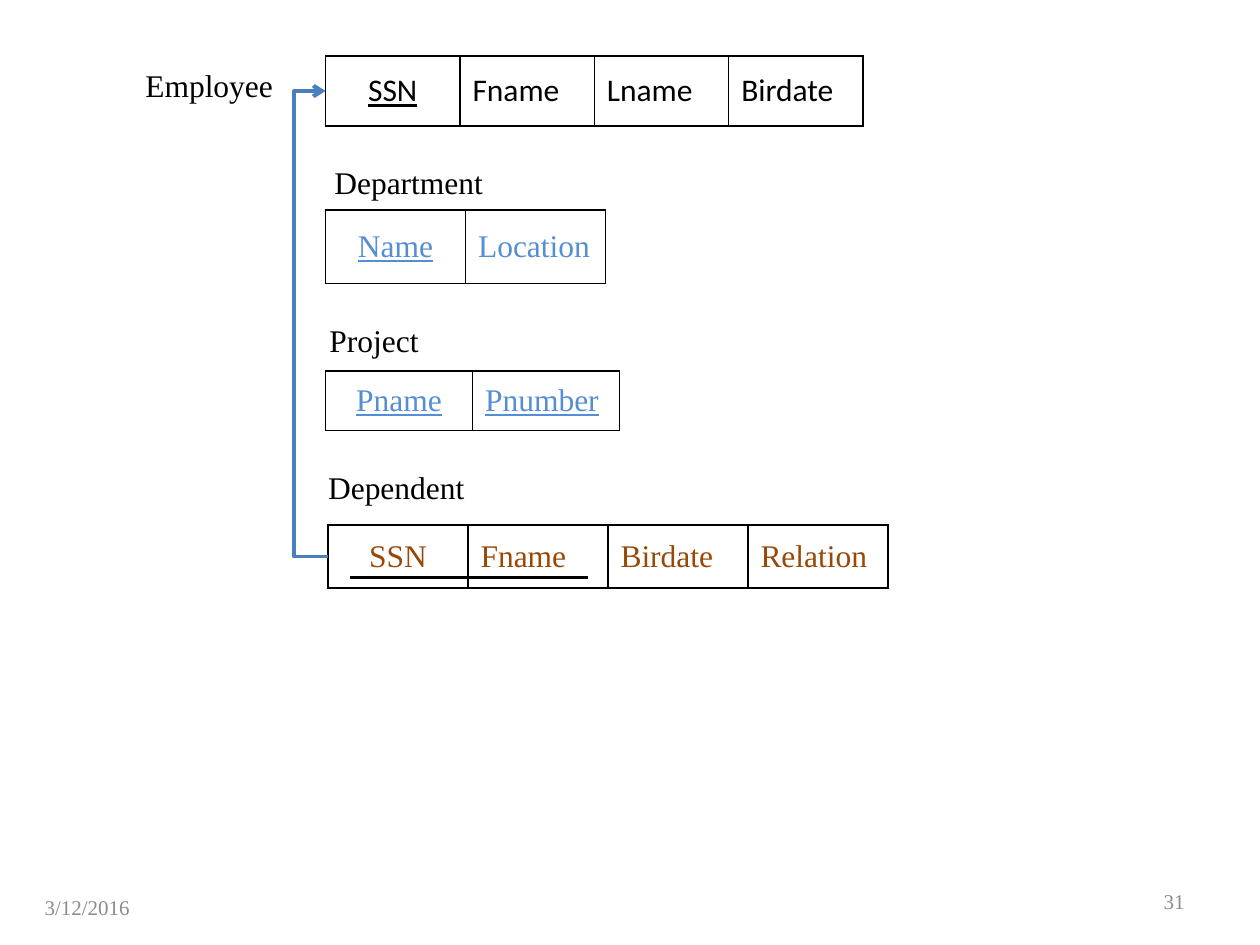
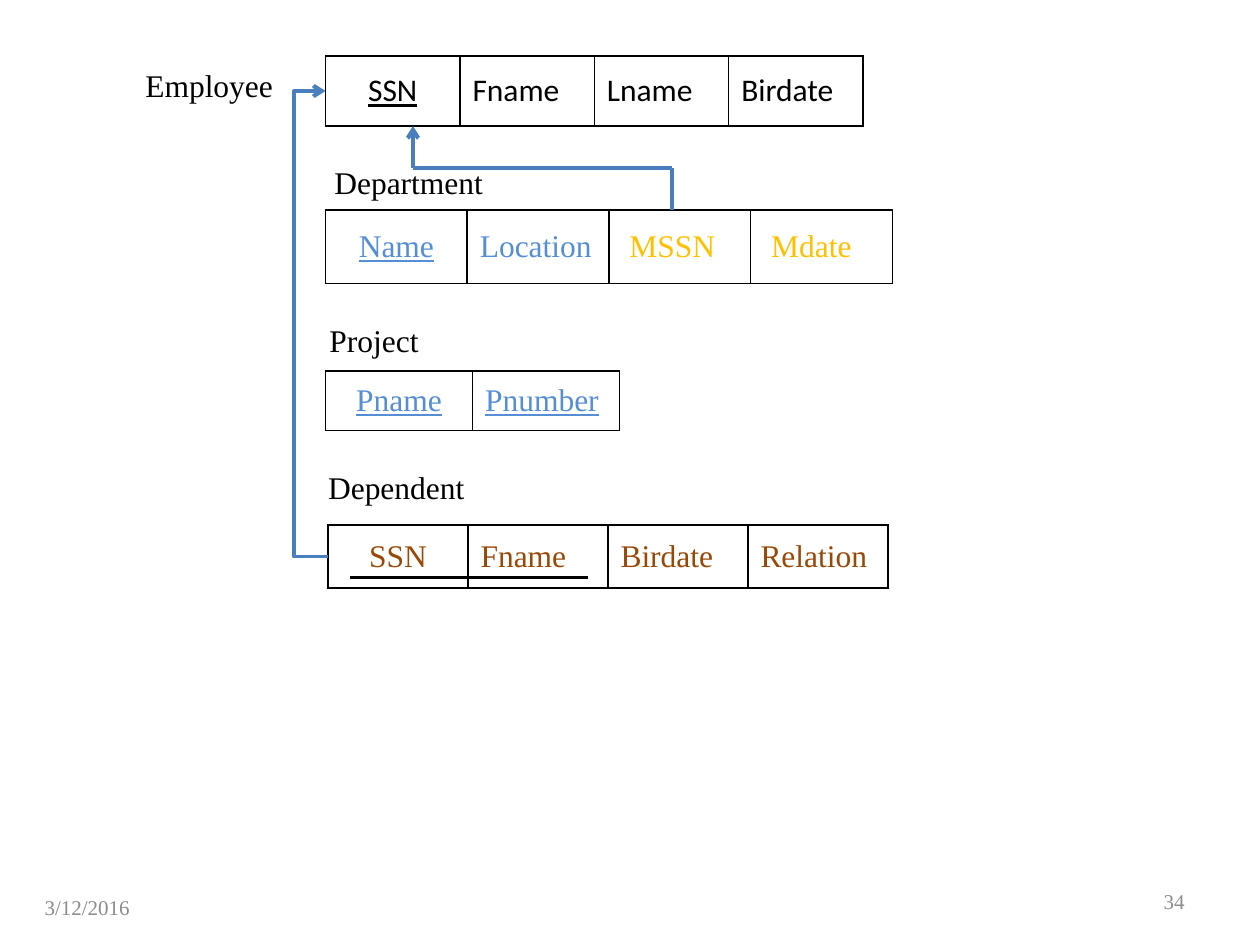
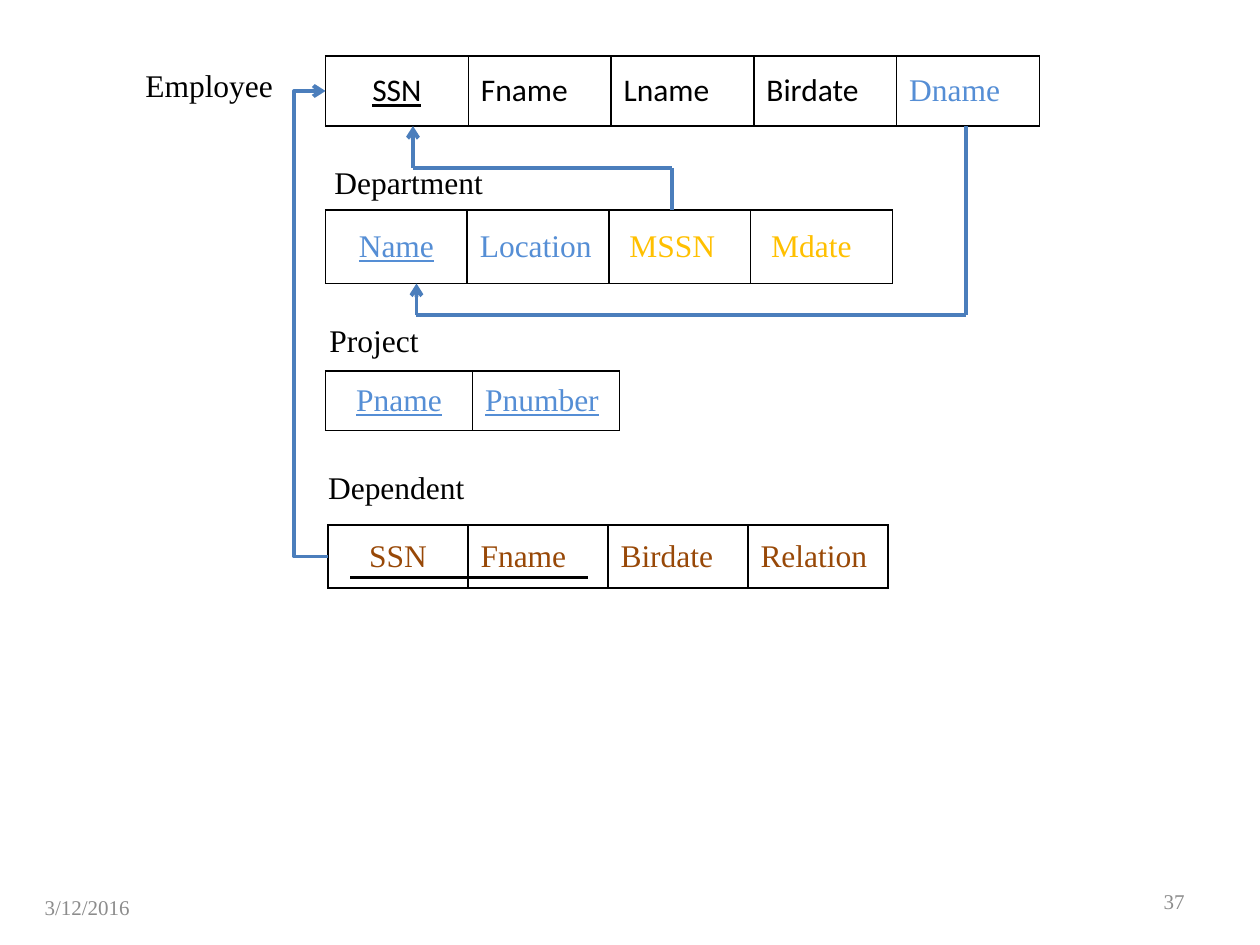
from dataclasses import dataclass
from itertools import pairwise
from typing import NamedTuple

from lxml.etree import SubElement as Sub
from pptx import Presentation as Deck
from pptx.dml.color import RGBColor as Rgb
from pptx.enum.shapes import MSO_CONNECTOR as Link
from pptx.enum.text import MSO_ANCHOR as Anchor, MSO_AUTO_SIZE as Auto, PP_ALIGN as Align
from pptx.oxml.ns import qn
from pptx.util import Emu, Inches, Pt


@dataclass(frozen=True)
class Theme:
    serif: str = "Times New Roman"
    sans: str = "Calibri"
    black: str = "000000"
    blue: str = "558ED5"
    gold: str = "FFC000"
    brown: str = "984807"
    grey: str = "8C8C8C"
    wire: str = "4B7EBC"
    body: float = 18
    small: float = 12
    rule: float = 1
    key: float = 1.5
    bold: float = 2.25


T = Theme()
WIDE, HIGH = Inches(10), Inches(7.5)
COLS, ROWS = 360, 270
Point = tuple[float, float]


class Box(NamedTuple):
    col: float
    row: float
    wide: float
    high: float


class Field(NamedTuple):
    text: str
    color: str = T.blue
    key: bool = False
    font: str = T.serif
    inset: float = 3.6


class Label(NamedTuple):
    text: str
    box: Box


class Grid(NamedTuple):
    box: Box
    fields: list[Field]


class Page(NamedTuple):
    number: str
    staff: Grid
    dept: Grid
    boss: bool = False
    unit: bool = False


def across(cols: float) -> Emu:
    return Emu(round(WIDE * cols / COLS))


def down(rows: float) -> Emu:
    return Emu(round(HIGH * rows / ROWS))


def place(box: Box) -> tuple[Emu, Emu, Emu, Emu]:
    return across(box.col), down(box.row), across(box.wide), down(box.high)


def style(para, color: str, size: float, font: str = T.serif, under: bool = False) -> None:
    for run in para.runs:
        run.font.name = font
        run.font.size = Pt(size)
        run.font.color.rgb = Rgb.from_string(color)
        run.font.underline = under


def write(shapes, label: Label, color: str = T.black, size: float = T.body,
          align=Align.LEFT, foot: bool = False) -> None:
    frame = shapes.add_textbox(*place(label.box)).text_frame
    frame.word_wrap = True
    frame.auto_size = Auto.NONE if foot else Auto.SHAPE_TO_FIT_TEXT
    frame.vertical_anchor = Anchor.MIDDLE if foot else Anchor.TOP
    frame.text = label.text
    frame.paragraphs[0].alignment = align
    style(frame.paragraphs[0], color, size)


def edge(cell) -> None:
    props = cell._tc.get_or_add_tcPr()
    for spot, side in enumerate(("lnL", "lnR", "lnT", "lnB")):
        line = Sub(props, qn(f"a:{side}"), w=str(Pt(T.rule)))
        fill = Sub(line, qn("a:solidFill"))
        Sub(fill, qn("a:srgbClr"), val=T.black)
        props.insert(spot, line)


def table(shapes, grid: Grid) -> None:
    count = len(grid.fields)
    body = shapes.add_table(1, count, *place(grid.box)).table
    body.first_row = body.horz_banding = False
    for spot, field in enumerate(grid.fields):
        body.columns[spot].width = across(grid.box.wide / count)
        cell = body.cell(0, spot)
        cell.fill.background()
        edge(cell)
        cell.vertical_anchor = Anchor.MIDDLE
        cell.margin_left = across(field.inset)
        cell.text = field.text
        para = cell.text_frame.paragraphs[0]
        para.alignment = Align.LEFT if spot else Align.CENTER
        style(para, field.color, T.body, field.font, field.key)


def wire(shapes, start: Point, end: Point, kind=Link.STRAIGHT,
         color: str = T.wire, width: float = T.bold, head: bool = False):
    line = shapes.add_connector(kind, across(start[0]), down(start[1]),
                                across(end[0]), down(end[1]))
    line.line.color.rgb = Rgb.from_string(color)
    line.line.width = Pt(width)
    if head:
        Sub(line.line._get_or_add_ln(), qn("a:tailEnd"), type="arrow")
    Sub(line._element.spPr, qn("a:effectLst"))
    return line


def route(shapes, stops: list[Point]) -> None:
    for start, end in pairwise(stops):
        wire(shapes, start, end, head=end == stops[-1])


def bend(shapes, start: Point, end: Point, lane: float) -> None:
    line = wire(shapes, end, start, Link.ELBOW, head=True)
    props = line._element.spPr
    props.find(qn("a:xfrm")).set("rot", "10800000")
    shape = props.find(qn("a:prstGeom"))
    guides = shape.find(qn("a:avLst"))
    if guides is None:
        guides = Sub(shape, qn("a:avLst"))
    share = round(100000 * (start[0] - lane) / (start[0] - end[0]))
    Sub(guides, qn("a:gd"), name="adj1", fmla=f"val {share}")


LEFT = 93
STAFF = [Field("SSN", T.black, True, T.sans)] + [
    Field(name, T.black, font=T.sans) for name in ("Fname", "Lname", "Birdate")]
DEPT = [Field("Name", key=True), Field("Location")]
LEAD = [Field(name, T.gold, inset=5.85) for name in ("MSSN", "Mdate")]
PROJECT = Grid(Box(LEFT, 106, 84, 17),
               [Field("Pname", key=True), Field("Pnumber", key=True)])
FAMILY = Grid(Box(93.7, 150, 160, 18), [
    Field(name, T.brown) for name in ("SSN", "Fname", "Birdate", "Relation")])
LABELS = [
    Label("Employee", Box(38, 17, 51, 14.4)),
    Label("Department", Box(92, 44.8, 56, 14.4)),
    Label("Project", Box(90.6, 90, 56, 14.4)),
    Label("Dependent", Box(90.2, 132, 56, 14.4)),
]
DATE = Label("3/12/2016", Box(9.2, 252, 84, 14.4))


def staff(wide: float, *more: Field) -> Grid:
    return Grid(Box(LEFT, 16, wide, 20), STAFF + list(more))


def dept(wide: float, *more: Field) -> Grid:
    return Grid(Box(LEFT, 60, wide, 21), DEPT + list(more))


PAGES = [
    Page("31", staff(153.6), dept(80)),
    Page("34", staff(153.6), dept(162, *LEAD), boss=True),
    Page("37", staff(204, Field("Dname")), dept(162, *LEAD), boss=True, unit=True),
]


def draw(deck, page: Page) -> None:
    shapes = deck.slides.add_slide(deck.slide_layouts[6]).shapes
    write(shapes, DATE, T.grey, T.small, foot=True)
    number = Label(page.number, Box(258, 250.2, 84, 14.4))
    write(shapes, number, T.grey, T.small, Align.RIGHT, True)
    for grid in (page.staff, page.dept, PROJECT, FAMILY):
        table(shapes, grid)
    for label in LABELS:
        write(shapes, label)
    wire(shapes, (168, 165), (100, 165), color=T.black, width=T.key)
    if page.boss:
        group = shapes.add_group_shape()
        route(group.shapes, [(192, 60), (192, 48), (118, 48), (118, 36)])
    bend(shapes, (93.7, 159), (LEFT, 26), 84)
    if page.unit:
        route(shapes, [(276, 36), (276, 90), (119, 90), (119, 81)])


def main() -> None:
    deck = Deck()
    deck.slide_width, deck.slide_height = WIDE, HIGH
    for page in PAGES:
        draw(deck, page)
    deck.save("out.pptx")


if __name__ == "__main__":
    main()
